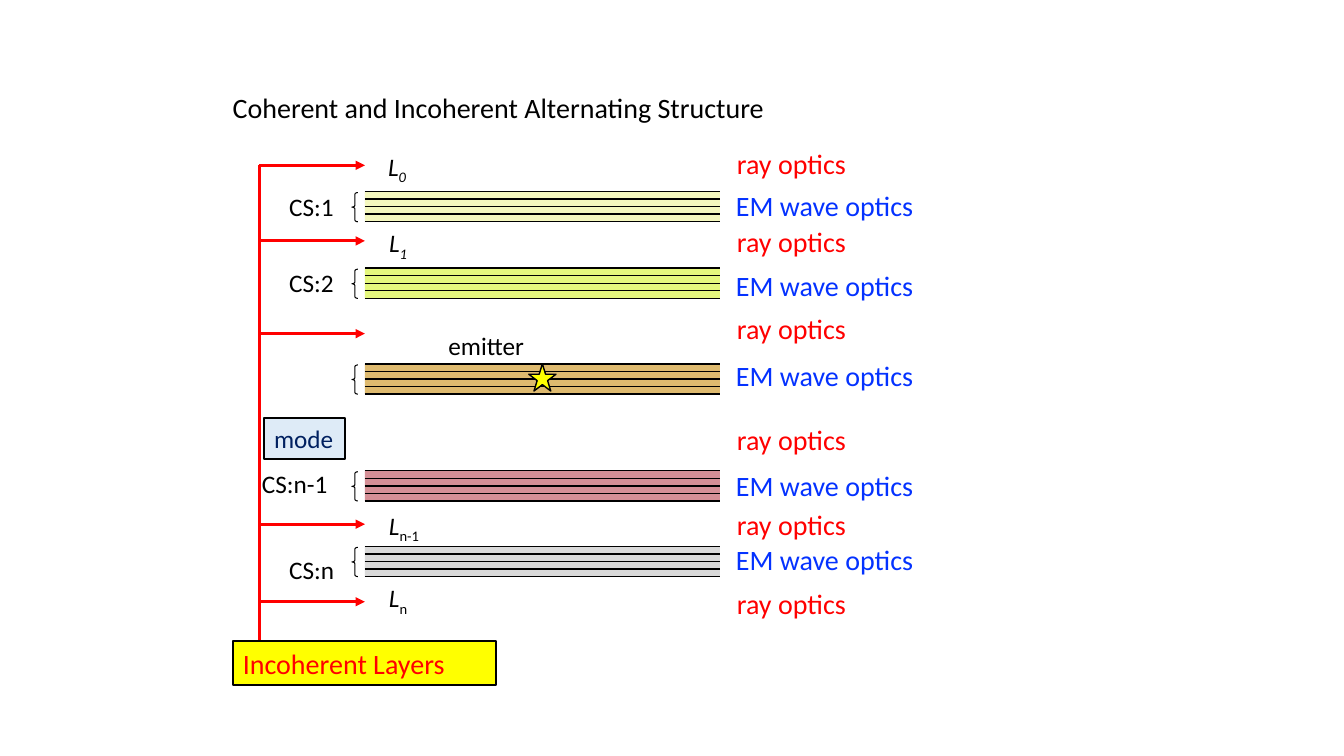
from lxml import etree
from pptx import Presentation
from pptx.dml.color import RGBColor
from pptx.enum import shapes, text
from pptx.oxml import ns
from pptx.util import Inches, Pt

BLACK = RGBColor(0x00, 0x00, 0x00)
RED = RGBColor(0xFF, 0x00, 0x00)
BLUE = RGBColor(0x04, 0x32, 0xFF)
NAVY = RGBColor(0x00, 0x20, 0x60)
YELLOW = RGBColor(0xFF, 0xFF, 0x00)
PALE_BLUE = RGBColor(0xDE, 0xEB, 0xF7)
PALE_LIME = RGBColor(0xF4, 0xF7, 0xBE)
LIME = RGBColor(0xE5, 0xF7, 0x7D)
OCHRE = RGBColor(0xDE, 0xBA, 0x6F)
ROSE = RGBColor(0xD5, 0x8F, 0x96)
GREY = RGBColor(0xD9, 0xD9, 0xD9)

FONT = "Calibri"
STACK_LEFT, STACK_WIDTH, STACK_HEIGHT = 3.62, 3.52, 0.3
SHEETS = 4
STACKS = [(1.9, PALE_LIME), (2.66, LIME), (3.61, OCHRE), (4.67, ROSE), (5.42, GREY)]
STACK_LABELS = [("CS:1", 2.77, 1.85, 0.65), ("CS:2", 2.77, 2.6, 0.65),
                ("CS:n-1", 2.5, 4.6, 0.86), ("CS:n", 2.77, 5.45, 0.65)]
LAYER_LABELS = [("0", True, 3.75, 1.45, 0.39), ("1", True, 3.76, 2.21, 0.39),
                ("n-1", False, 3.76, 5.01, 0.53), ("n", False, 3.76, 5.73, 0.4)]
WAVE_TOPS = [1.82, 2.61, 3.51, 4.6, 5.33]
RAY_TOPS = [1.4, 2.18, 3.04, 4.14, 4.99, 5.77]
ARROW_TOPS = [1.64, 2.39, 3.31, 5.2, 5.97]


def add_line(slide, x1, y1, x2, y2, color, width, arrow=False):
    line = slide.shapes.add_connector(
        shapes.MSO_CONNECTOR.STRAIGHT, Inches(x1), Inches(y1), Inches(x2), Inches(y2))
    line.line.color.rgb = color
    line.line.width = Pt(width)
    if arrow:
        etree.SubElement(line.line._get_or_add_ln(), ns.qn("a:tailEnd"), type="triangle")
    etree.SubElement(line._element.spPr, ns.qn("a:effectLst"))


def add_shape(slide, kind, left, top, width, height, fill=None, line_width=None):
    sp = slide.shapes.add_shape(
        kind, Inches(left), Inches(top), Inches(width), Inches(height))
    sp.shadow.inherit = False
    if fill is None:
        sp.fill.background()
    else:
        sp.fill.solid()
        sp.fill.fore_color.rgb = fill
    if line_width is None:
        sp.line.fill.background()
    else:
        sp.line.color.rgb = BLACK
        sp.line.width = Pt(line_width)
    return sp


def write(sp, words, size, color, wrap):
    tf = sp.text_frame
    tf.word_wrap = wrap
    tf.auto_size = text.MSO_AUTO_SIZE.SHAPE_TO_FIT_TEXT
    tf.vertical_anchor = text.MSO_ANCHOR.TOP
    p = tf.paragraphs[0]
    p.text = words
    p.alignment = text.PP_ALIGN.LEFT
    p.font.name = FONT
    p.font.size = Pt(size)
    p.font.color.rgb = color
    return p


def add_label(slide, words, left, top, width, height=0.4, size=18, color=BLACK, wrap=False):
    sp = slide.shapes.add_textbox(
        Inches(left), Inches(top), Inches(width), Inches(height))
    return write(sp, words, size, color, wrap)


def add_stack(slide, left, top, width, height, fill):
    """Coherent stack: filled band, its sheet boundaries and a brace."""
    add_shape(slide, shapes.MSO_SHAPE.RECTANGLE, left, top, width, height, fill)
    for i in range(SHEETS + 1):
        y = top + i * height / SHEETS
        add_line(slide, left, y, left + width, y, BLACK, 1)
    brace = add_shape(slide, shapes.MSO_SHAPE.LEFT_BRACE, left - 0.13, top + 0.01,
                      0.06, height - 0.01, line_width=0.75)
    brace.adjustments[0] = 0.29


def add_layer_label(slide, index, italic, left, top, width):
    """Italic L with a subscript index."""
    p = add_label(slide, "L", left, top, width)
    p.runs[0].font.italic = True
    r = p.add_run()
    r.text = index
    r.font.italic = italic
    r._r.get_or_add_rPr().set("baseline", "-25000")


def add_optics_column(slide, left):
    for top in WAVE_TOPS:
        add_label(slide, "EM wave optics", left, top, 2.52, 0.44, 20, BLUE, True)
    for top in RAY_TOPS:
        add_label(slide, "ray optics", left + 0.01, top, 1.65, 0.44, 20, RED, True)


def add_emitter(slide, left, top, width):
    """Star in the middle of a stack, with its name above."""
    size = 0.27
    add_shape(slide, shapes.MSO_SHAPE.STAR_5_POINT, left + (width - size) / 2, top,
              size, size, YELLOW, 1)
    add_label(slide, "emitter", left + 0.73, top - 0.38, 0.96)


def add_incoherent_tree(slide, left, right, bottom):
    """Trunk with an arrow to each incoherent layer, and its caption."""
    for y in ARROW_TOPS:
        add_line(slide, left, y, right, y, RED, 2.25, arrow=True)
    add_line(slide, left, ARROW_TOPS[0], left, bottom, RED, 2.25)
    caption = add_shape(slide, shapes.MSO_SHAPE.RECTANGLE, left - 0.26, bottom - 0.05,
                        2.61, 0.44, YELLOW, 1.5)
    write(caption, "Incoherent Layers", 20, RED, True)
    mode = add_shape(slide, shapes.MSO_SHAPE.RECTANGLE, left + 0.05, bottom - 2.26,
                     0.8, 0.4, PALE_BLUE, 1.5)
    write(mode, "mode", 18, NAVY, False)


def main():
    prs = Presentation()
    prs.slide_width, prs.slide_height = Inches(13.33), Inches(7.5)
    slide = prs.slides.add_slide(prs.slide_layouts[6])
    add_label(slide, "Coherent and Incoherent Alternating Structure",
              2.21, 0.85, 5.53, 0.44, 20)
    for top, fill in STACKS:
        add_stack(slide, STACK_LEFT, top, STACK_WIDTH, STACK_HEIGHT, fill)
    for label in STACK_LABELS:
        add_label(slide, *label)
    for label in LAYER_LABELS:
        add_layer_label(slide, *label)
    add_optics_column(slide, 7.2)
    add_emitter(slide, STACK_LEFT, STACKS[2][0], STACK_WIDTH)
    add_incoherent_tree(slide, 2.57, STACK_LEFT, 6.41)
    prs.save("out.pptx")


if __name__ == "__main__":
    main()
